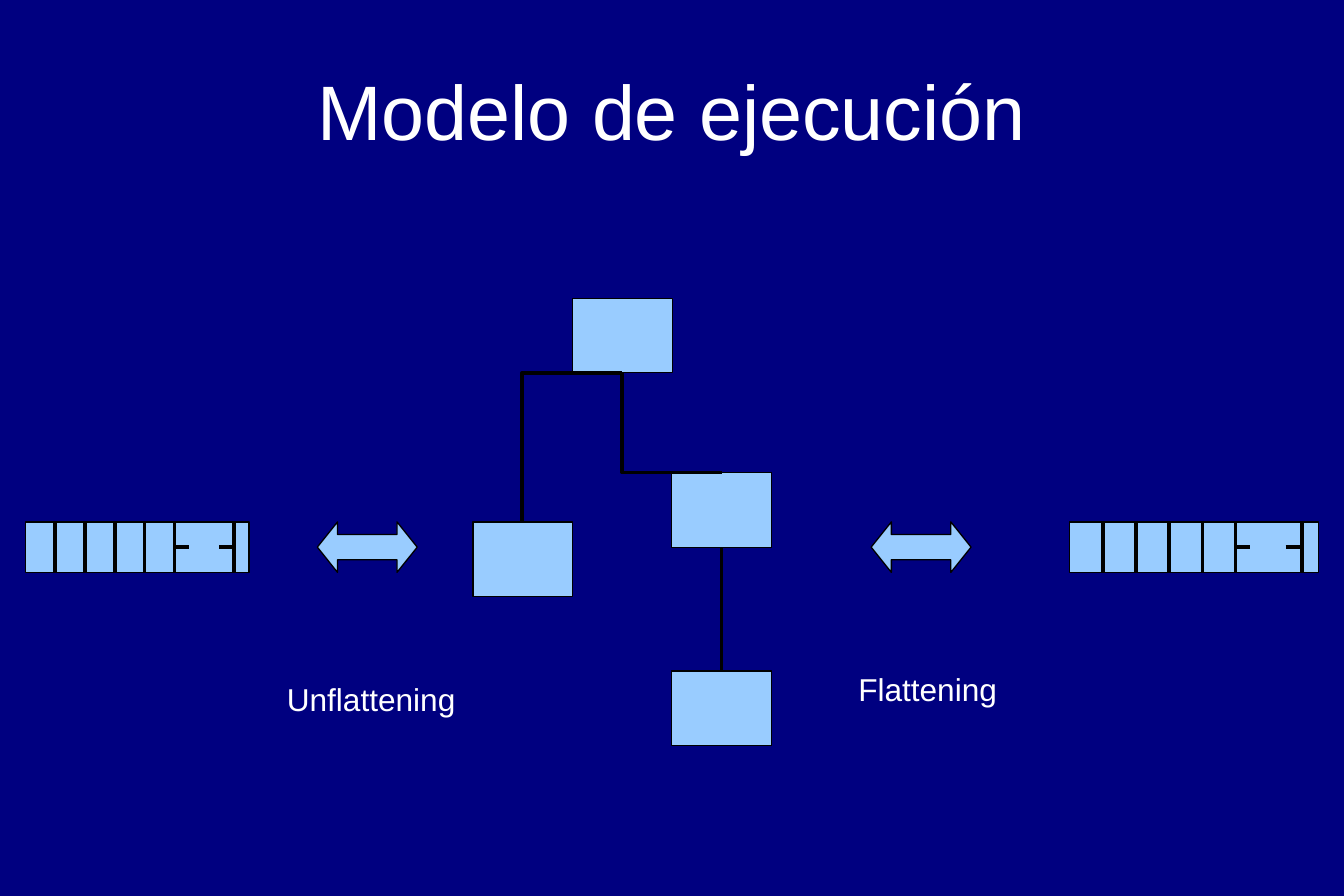
import pptx
import pptx.util
import pptx.dml.color
import pptx.enum.dml
import pptx.enum.shapes
import pptx.enum.text
import pptx.oxml.ns
from lxml import etree

Inches = pptx.util.Inches
SHAPE = pptx.enum.shapes.MSO_SHAPE
LINK = pptx.enum.shapes.MSO_CONNECTOR
ALIGN = pptx.enum.text.PP_ALIGN
ANCHOR = pptx.enum.text.MSO_ANCHOR

COLORS = {"back": "000080", "box": "99CCFF", "line": "000000", "text": "FFFFFF"}
NODE_W, NODE_H = 0.79, 0.59
ROW_TOP, ROW_H = 4.13, 0.4


def color(name):
    return pptx.dml.color.RGBColor.from_string(COLORS[name])


def add_box(shapes, kind, left, top, width, height):
    box = shapes.add_shape(kind, Inches(left), Inches(top), Inches(width), Inches(height))
    box.shadow.inherit = False
    box.fill.solid()
    box.fill.fore_color.rgb = color("box")
    box.line.color.rgb = color("line")
    box.line.width = 0
    return box


def add_line(shapes, x1, y1, x2, y2, kind=LINK.STRAIGHT):
    line = shapes.add_connector(kind, Inches(x1), Inches(y1), Inches(x2), Inches(y2))
    line.line.color.rgb = color("line")
    line.line.width = 0
    etree.SubElement(line._element.spPr, pptx.oxml.ns.qn("a:effectLst"))
    return line


def add_bend(shapes, x1, y1, x2, y2):
    line = add_line(shapes, x1, y1, x2, y2, LINK.ELBOW)
    geom = line._element.spPr.find(pptx.oxml.ns.qn("a:prstGeom"))
    geom.set("prst", "bentConnector2")


def add_node(shapes, left, top):
    return add_box(shapes, SHAPE.RECTANGLE, left, top, NODE_W, NODE_H)


def add_arrow(shapes, left):
    arrow = add_box(shapes, SHAPE.LEFT_RIGHT_ARROW, left, ROW_TOP, NODE_W, ROW_H)
    arrow.adjustments[0] = 0.5
    arrow.adjustments[1] = 0.4


def add_row(slide, left, width):
    shapes = slide.shapes.add_group_shape().shapes
    cell = width / 7.5
    add_box(shapes, SHAPE.RECTANGLE, left, ROW_TOP, width, ROW_H)
    for count in (1, 2, 3, 4, 5, 7):
        x = left + count * cell
        add_line(shapes, x, ROW_TOP, x, ROW_TOP + ROW_H)
    mid = ROW_TOP + ROW_H / 2
    for count in (5, 6.5):
        x = left + count * cell
        dash = add_line(shapes, x, mid, x + cell / 2, mid)
        dash.line.dash_style = pptx.enum.dml.MSO_LINE.DASH


def add_text(slide, text, left, top, width, height, size, align=ALIGN.LEFT,
             anchor=ANCHOR.TOP):
    box = slide.shapes.add_textbox(Inches(left), Inches(top), Inches(width), Inches(height))
    frame = box.text_frame
    frame.word_wrap = True
    frame.vertical_anchor = anchor
    para = frame.paragraphs[0]
    para.alignment = align
    run = para.add_run()
    run.text = text
    run.font.name = "Arial"
    run.font.size = pptx.util.Pt(size)
    run.font.color.rgb = color("text")


def add_tree(shapes):
    add_node(shapes, 4.53, 2.36)
    right = add_node(shapes, 5.31, 3.74)
    add_node(shapes, 3.74, ROW_TOP)
    leaf = add_node(shapes, 5.31, 5.31)
    add_bend(shapes, 4.92, 2.95, 4.13, ROW_TOP)
    add_bend(shapes, 5.71, 3.74, 4.92, 2.95)
    stem = add_line(shapes, 5.71, 4.33, 5.71, 5.31)
    stem.begin_connect(right, 2)
    stem.end_connect(leaf, 0)


def main():
    deck = pptx.Presentation()
    deck.slide_width = Inches(10.63)
    deck.slide_height = Inches(7.09)
    slide = deck.slides.add_slide(deck.slide_layouts[6])
    slide.background.fill.solid()
    slide.background.fill.fore_color.rgb = color("back")

    add_text(slide, "Modelo de ejecución", 0.53, 0.28, 9.57, 1.18, 44,
             ALIGN.CENTER, ANCHOR.MIDDLE)
    add_row(slide, 0.2, 1.77)
    add_row(slide, 8.46, 1.97)
    add_tree(slide.shapes)
    for left in (2.51, 6.89):
        add_arrow(slide.shapes, left)
    add_text(slide, "Unflattening", 2.17, 5.33, 1.77, 0.38, 18)
    add_text(slide, "Flattening", 6.69, 5.25, 1.38, 0.38, 18)
    deck.save("out.pptx")


if __name__ == "__main__":
    main()
